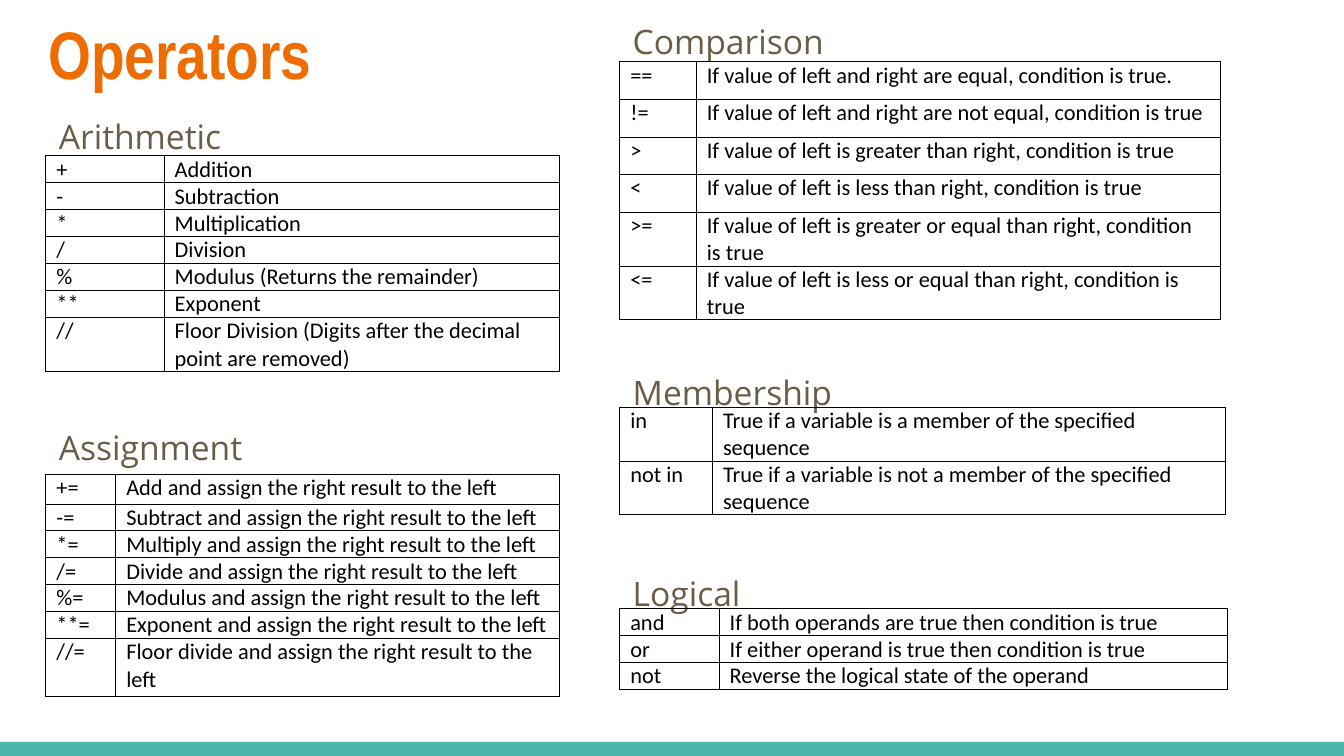
from dataclasses import dataclass

from lxml import etree
from pptx import Presentation
from pptx.dml.color import RGBColor
from pptx.enum.shapes import MSO_SHAPE
from pptx.enum.text import MSO_ANCHOR
from pptx.oxml.ns import qn
from pptx.slide import Slide
from pptx.table import _Cell
from pptx.text.text import _Paragraph
from pptx.util import Inches, Pt

RECTANGLE = MSO_SHAPE.RECTANGLE
TOP = MSO_ANCHOR.TOP
BLANK_LAYOUT = 6
TEAL, ORANGE, BROWN, BLACK = "4DB6AC", "EF6C00", "695D46", "000000"
BORDER_WIDTH = Pt(0.5)
LEFT_COLUMN, RIGHT_COLUMN = 0.34, 4.61
SLIDE_WIDTH = 10
SLIDE_HEIGHT = SLIDE_WIDTH * 9 / 16
FRAME_SIZE = 3.28
FIT_TEXT = 0.01


@dataclass
class Section:
    name: str
    left: float
    heading_top: float
    heading_size: tuple[float, float]
    table_top: float
    widths: tuple[float, float]
    heights: list[float]
    space_after: float
    operators: list[tuple[str, str]]


SECTIONS = [
    Section("Arithmetic", LEFT_COLUMN, 0.72, (3.83, 2.02), 1.16, (0.88, 2.94),
            [FIT_TEXT] * 7, 0, [
        ("+", "Addition"),
        ("-", "Subtraction"),
        ("*", "Multiplication"),
        ("/", "Division"),
        ("%", "Modulus (Returns the remainder)"),
        ("**", "Exponent"),
        ("//", "Floor Division (Digits after the decimal point are removed)"),
    ]),
    Section("Comparison", RIGHT_COLUMN, 0.01, (4.97, 3.11), 0.46, (0.57, 3.9),
            [0.28] * 6, 6, [
        ("==", "If value of left and right are equal, condition is true."),
        ("!=", "If value of left and right are not equal, condition is true"),
        (">", "If value of left is greater than right, condition is true"),
        ("<", "If value of left is less than right, condition is true"),
        (">=", "If value of left is greater or equal than right, condition is true"),
        ("<=", "If value of left is less or equal than right, condition is true"),
    ]),
    Section("Assignment", LEFT_COLUMN, 3.03, (4.97, 3.11), 3.53, (0.52, 3.3),
            [0.22] + [FIT_TEXT] * 5 + [0.43], 0, [
        ("+=", "Add and assign the right result to the left"),
        ("-=", "Subtract and assign the right result to the left"),
        ("*=", "Multiply and assign the right result to the left"),
        ("/=", "Divide and assign the right result to the left"),
        ("%=", "Modulus and assign the right result to the left"),
        ("**=", "Exponent and assign the right result to the left"),
        ("//=", "Floor divide and assign the right result to the left"),
    ]),
    Section("Membership", RIGHT_COLUMN, 2.62, (3.5, 0.58), 3.03, (0.69, 3.82),
            [FIT_TEXT] * 2, 6, [
        ("in", "True if a variable is a member of the specified sequence"),
        ("not in", "True if a variable is not a member of the specified sequence"),
    ]),
    Section("Logical", RIGHT_COLUMN, 4.12, (3.5, 0.58), 4.53, (0.74, 3.78),
            [FIT_TEXT] * 3, 6, [
        ("and", "If both operands are true then condition is true"),
        ("or", "If either operand is true then condition is true"),
        ("not", "Reverse the logical state of the operand"),
    ]),
]


def color(value: str) -> RGBColor:
    return RGBColor.from_string(value)


def format_text(para: _Paragraph, font: str, size: float, shade: str, bold: bool = False) -> None:
    for span in para.runs:
        span.font.name = font
        span.font.size = Pt(size)
        span.font.bold = bold
        span.font.color.rgb = color(shade)


def add_text(page: Slide, text: str, left: float, top: float, width: float, height: float) -> _Paragraph:
    box = page.shapes.add_textbox(Inches(left), Inches(top), Inches(width), Inches(height))
    frame = box.text_frame
    frame.word_wrap = True
    frame.vertical_anchor = TOP
    frame.margin_left = frame.margin_right = Inches(0.1)
    frame.margin_top = frame.margin_bottom = Inches(0.1)
    frame.text = text
    return frame.paragraphs[0]


def add_borders(cell: _Cell) -> None:
    properties = cell._tc.get_or_add_tcPr()
    for position, side in enumerate(("a:lnL", "a:lnR", "a:lnT", "a:lnB")):
        line = etree.Element(qn(side), w=str(int(BORDER_WIDTH)))
        fill = etree.SubElement(line, qn("a:solidFill"))
        etree.SubElement(fill, qn("a:srgbClr"), val=BLACK)
        properties.insert(position, line)


def fill_cell(cell: _Cell, text: str, space_after: float) -> None:
    cell.margin_left = cell.margin_right = Inches(0.08)
    cell.margin_top = cell.margin_bottom = Inches(0)
    cell.fill.background()
    add_borders(cell)
    cell.text_frame.text = text
    para = cell.text_frame.paragraphs[0]
    para.space_after = Pt(space_after)
    format_text(para, "Calibri", 12, BLACK)


def add_operator_table(page: Slide, section: Section) -> None:
    frame = page.shapes.add_table(
        len(section.operators), len(section.widths),
        Inches(section.left), Inches(section.table_top),
        Inches(FRAME_SIZE), Inches(FRAME_SIZE))
    table = frame.table
    table.first_row = False
    table.horz_banding = False
    for column, width in zip(table.columns, section.widths):
        column.width = Inches(width)
    for row, height, texts in zip(table.rows, section.heights, section.operators):
        row.height = Inches(height)
        for cell, text in zip(row.cells, texts):
            fill_cell(cell, text, section.space_after)
    frame.width = frame.height = Inches(FRAME_SIZE)


def add_section(page: Slide, section: Section) -> None:
    heading = add_text(page, section.name, section.left, section.heading_top, *section.heading_size)
    heading.line_spacing = 1.15
    heading.space_after = Pt(16)
    format_text(heading, "Open Sans", 18, BROWN)
    add_operator_table(page, section)


def add_footer_band(page: Slide) -> None:
    band = page.shapes.add_shape(RECTANGLE, Inches(0), Inches(5.52), Inches(SLIDE_WIDTH), Inches(0.11))
    band.shadow.inherit = False
    band.fill.solid()
    band.fill.fore_color.rgb = color(TEAL)
    band.line.fill.background()


def main() -> None:
    deck = Presentation()
    deck.slide_width = Inches(SLIDE_WIDTH)
    deck.slide_height = Inches(SLIDE_HEIGHT)
    page = deck.slides.add_slide(deck.slide_layouts[BLANK_LAYOUT])
    add_footer_band(page)
    title = add_text(page, "Operators", 0.26, -0.01, 9.32, 0.77)
    format_text(title, "Arial Narrow", 36, ORANGE, bold=True)
    for section in SECTIONS:
        add_section(page, section)
    deck.save("out.pptx")


if __name__ == "__main__":
    main()
